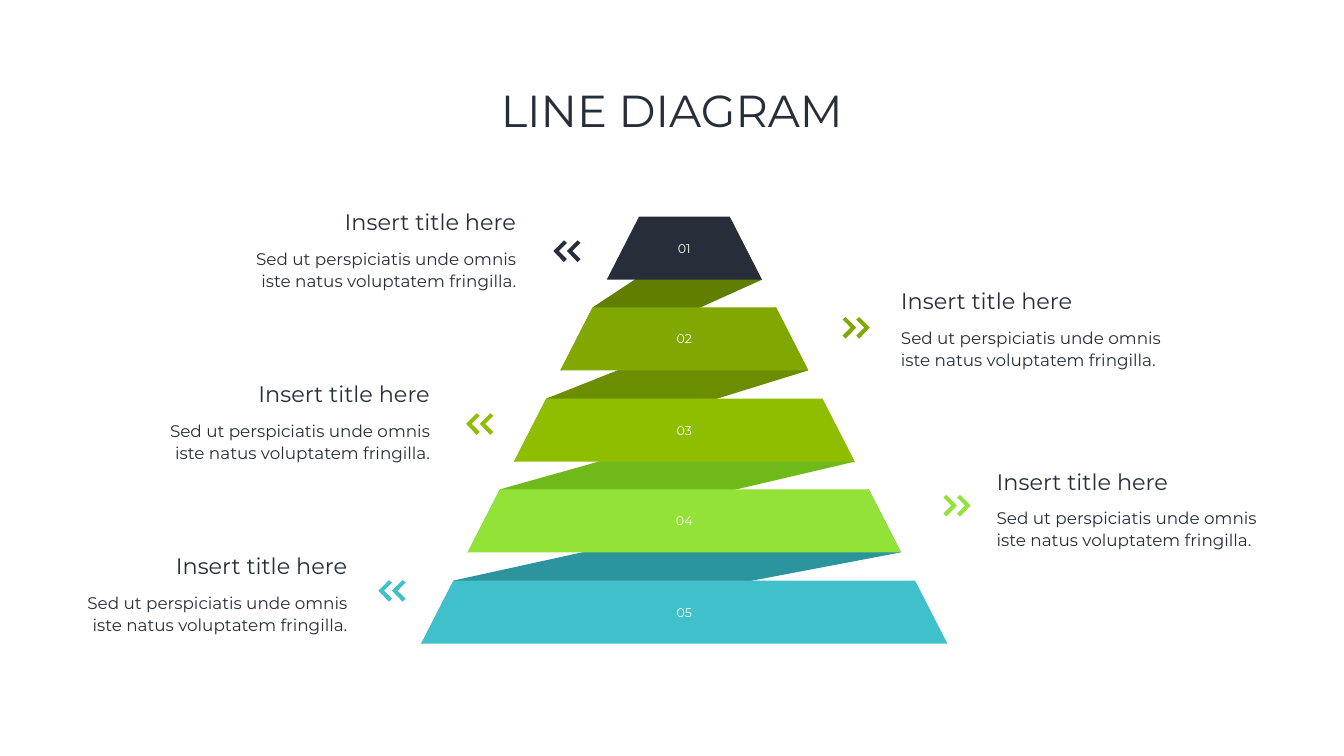
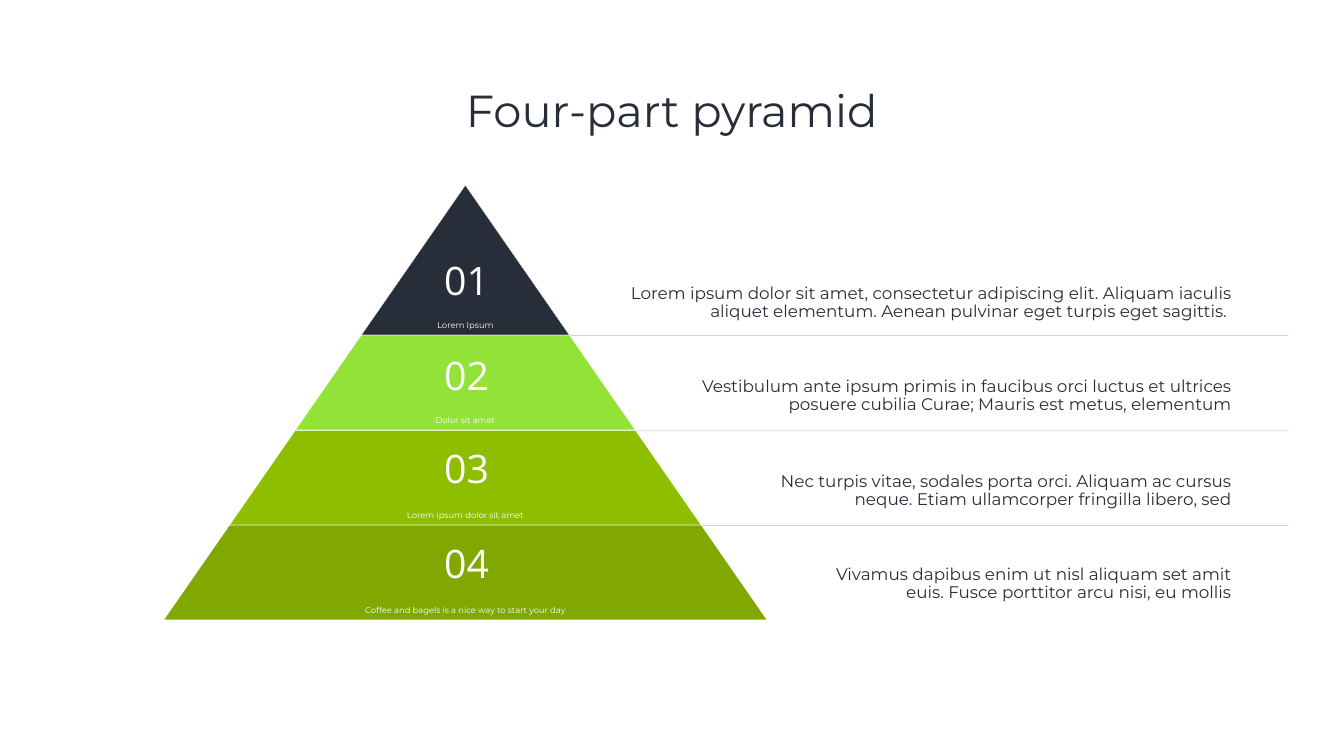
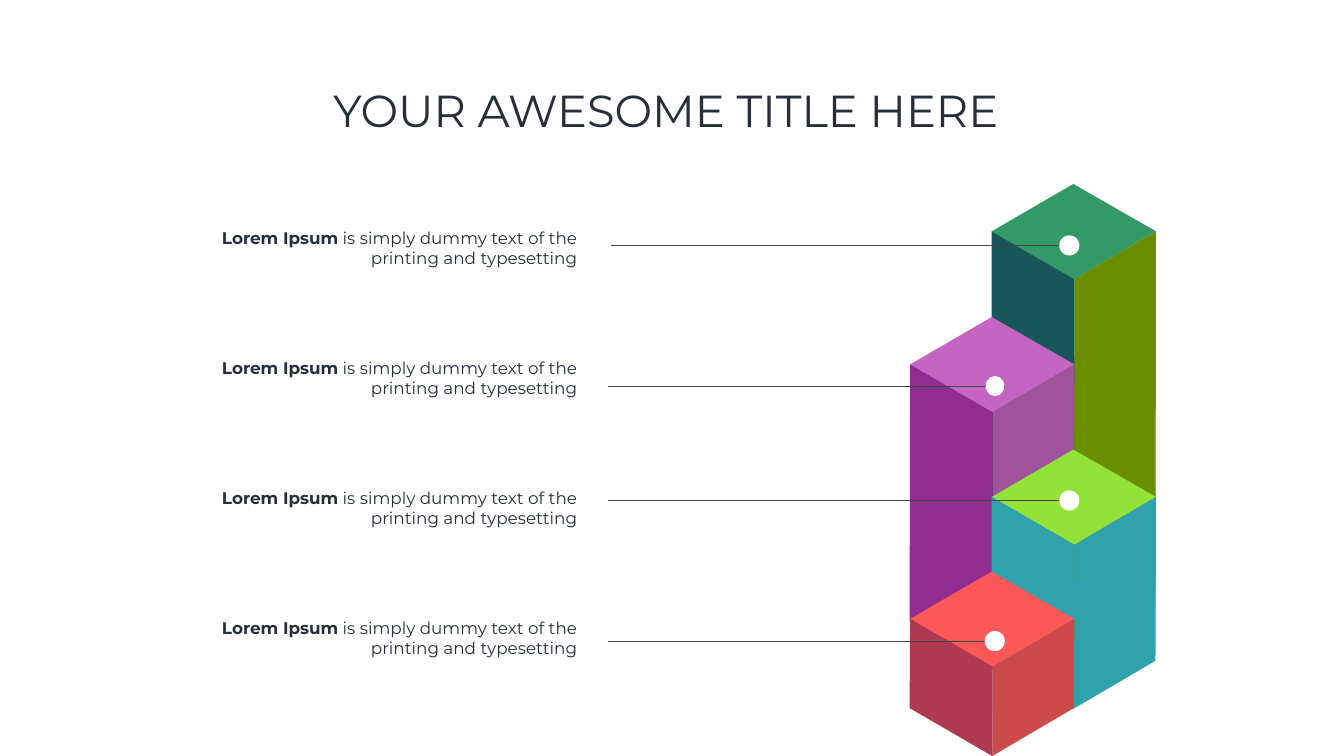
"""Build three infographic slides: a ribbon pyramid, a four-part pyramid and towers."""
from itertools import pairwise

from lxml import etree
from pptx import Presentation
from pptx import util as u
from pptx.dml.color import RGBColor
from pptx.enum import shapes, text
from pptx.oxml.ns import qn

SCALE = 9144
INK, WHITE, RULE, LEADER = "272E3A", "FFFFFF", "808080", "434343"
LIME, LEAF, OLIVE, TEAL = "93E238", "8FBE00", "80A800", "40C0CB"
SANS, NUMERAL = "Montserrat", "Open Sans"
LEFT, CENTER, RIGHT = text.PP_ALIGN.LEFT, text.PP_ALIGN.CENTER, text.PP_ALIGN.RIGHT
TOP, MIDDLE, BOTTOM = text.MSO_ANCHOR.TOP, text.MSO_ANCHOR.MIDDLE, text.MSO_ANCHOR.BOTTOM


def px(length):
    """Turn px into EMU."""
    return u.Emu(round(length * SCALE))


def color(code):
    """Turn a hex string into a colour."""
    return RGBColor.from_string(code)


def write(frame, spans, size, align, ink=INK, font=SANS, spacing=None):
    """Write (words, bold) spans as the single paragraph of a frame."""
    para = frame.paragraphs[0]
    para.alignment = align
    if spacing:
        para.line_spacing = spacing
    for words, bold in spans:
        span = para.add_run()
        span.text = words
        span.font.name = font
        span.font.size = u.Pt(size)
        span.font.bold = bold
        span.font.color.rgb = color(ink)


def set_margins(frame, left, top, right, bottom):
    """Set the four insets of a text frame."""
    frame.margin_left, frame.margin_top = px(left), px(top)
    frame.margin_right, frame.margin_bottom = px(right), px(bottom)


def add_text(canvas, at, words, size, align, anchor=TOP, wrap=True, grow=False,
             margins=(10, 5, 10, 5), **style):
    """Add a text box holding a string or a list of spans."""
    frame = canvas.add_textbox(*map(px, at)).text_frame
    frame.word_wrap = wrap
    frame.vertical_anchor = anchor
    if grow:
        frame.auto_size = text.MSO_AUTO_SIZE.SHAPE_TO_FIT_TEXT
    set_margins(frame, *margins)
    spans = [(words, False)] if isinstance(words, str) else words
    write(frame, spans, size, align, **style)


def paint(shape, fill, outline=None):
    """Give a shape a flat fill and an optional thin outline."""
    shape.shadow.inherit = False
    shape.fill.solid()
    shape.fill.fore_color.rgb = color(fill)
    if outline:
        shape.line.color.rgb = color(outline)
        shape.line.width = u.Pt(0.5)
    else:
        shape.line.fill.background()


def add_outline(canvas, contours, fill):
    """Add a filled freeform made of closed contours."""
    builder = canvas.build_freeform(*contours[0][0], scale=SCALE)
    for number, points in enumerate(contours):
        if number:
            builder.move_to(*points[0])
        builder.add_line_segments(points[1:], close=True)
    shape = builder.convert_to_shape()
    paint(shape, fill)
    return shape


def add_rule(canvas, start, end, y, ink, width, opacity=None):
    """Add a horizontal line without a shadow."""
    line = canvas.add_connector(shapes.MSO_CONNECTOR.STRAIGHT, px(start), px(y), px(end), px(y))
    line.line.color.rgb = color(ink)
    line.line.width = u.Pt(width)
    properties = line._element.spPr
    if opacity:
        tint = properties.find(".//" + qn("a:srgbClr"))
        etree.SubElement(tint, qn("a:alpha")).set("val", str(opacity * 1000))
    etree.SubElement(properties, qn("a:effectLst"))


def add_page(deck, title):
    """Add a blank page with the shared title style."""
    page = deck.slides.add_slide(deck.slide_layouts[6])
    add_text(page.shapes, (183, 80, 2300, 290), title, 64, CENTER, MIDDLE, spacing=0.9)
    return page.shapes


def add_chevrons(canvas, x, y, fill, points_left):
    """Add a double chevron pointing left or right."""
    arrow = [(27, 37), (21, 43), (0, 21), (21, 0), (27, 5), (11, 21)]
    contours = []
    for shift in (0, 27):
        steps = [(dx + shift, dy) for dx, dy in arrow]
        contours.append([(x + (dx if points_left else 54 - dx), y + dy) for dx, dy in steps])
    add_outline(canvas, contours, fill)


def add_note(canvas, x, y, align):
    """Add a heading with two lines of body text below it."""
    heading_x = x + 200 if align == RIGHT else x
    add_text(canvas, (heading_x, y, 363, 64), "Insert title here", 32, align,
             wrap=False, grow=True)
    add_text(canvas, (x, y + 76, 563, 97),
             "Sed ut perspiciatis unde omnis iste natus voluptatem fringilla.",
             24, align, grow=True, spacing=1.1)


def build_ribbon(deck):
    """Build the pyramid of five layers joined by folded ribbons."""
    canvas = add_page(deck, "LINE DIAGRAM")
    middle, layers = 1358, []
    for step in range(5):
        top, half = 430 + step * 361 // 2, 154 + 92 * step
        layers.append([(middle + half - 64, top), (middle - half + 64, top),
                       (middle - half, top + 125), (middle + half, top + 125)])
    folds = list(zip(pairwise(layers), ("607E00", "6B8E00", "6FB91B", "2B949D")))
    for (upper, lower), fill in reversed(folds):
        add_outline(canvas, [[lower[2], upper[3], upper[0], lower[1]]], fill)
    fills = (INK, OLIVE, LEAF, LIME, TEAL)
    for number, (layer, fill) in enumerate(zip(layers, fills), 1):
        frame = add_outline(canvas, [layer], fill).text_frame
        frame.vertical_anchor = MIDDLE
        set_margins(frame, 20, 10, 20, 10)
        write(frame, [(f"{number:02}", False)], 18, CENTER, WHITE)
    notes = (
        (471, 408, 1098, 477, RIGHT), (1778, 565, 1672, 629, LEFT),
        (300, 749, 925, 820, RIGHT), (1968, 923, 1872, 982, LEFT),
        (136, 1091, 751, 1151, RIGHT),
    )
    for (x, y, arrow_x, arrow_y, align), fill in zip(notes, fills):
        add_chevrons(canvas, arrow_x, arrow_y, fill, align == RIGHT)
        add_note(canvas, x, y, align)


def add_tier(canvas, top, height, width, label_share, fill, label):
    """Add one pyramid tier with its small label."""
    middle = 923.5
    tier = canvas.add_shape(shapes.MSO_SHAPE.TRAPEZOID, px(middle - width / 2), px(top),
                            px(width), px(height))
    tier.adjustments[0] = 0.694
    paint(tier, fill, WHITE)
    label_width = width * label_share
    add_text(canvas, (middle - label_width / 2, top, label_width, height), label, 12, CENTER,
             BOTTOM, margins=(2, 2, 2, 10), ink=WHITE, spacing=0.9)


def build_pyramid(deck):
    """Build the four-part pyramid with a description for each tier."""
    canvas = add_page(deck, "Four-part pyramid")
    for y in (666, 855, 1043):
        add_rule(canvas, 1008, 2557, y, RULE, 0.5, opacity=50)
    descriptions = (
        (560, 1269, "Lorem ipsum dolor sit amet, consectetur adipiscing elit. Aliquam iaculis "
                    "aliquet elementum. Aenean pulvinar eget turpis eget sagittis. "),
        (745, 1136, "Vestibulum ante ipsum primis in faucibus orci luctus et ultrices "
                    "posuere cubilia Curae; Mauris est metus, elementum"),
        (933, 964, "Nec turpis vitae, sodales porta orci. Aliquam ac cursus neque. "
                   "Etiam ullamcorper fringilla libero, sed"),
        (1118, 877, "Vivamus dapibus enim ut nisl aliquam set amit euis. "
                    "Fusce porttitor arcu nisi, eu mollis"),
    )
    for y, width, words in descriptions:
        add_text(canvas, (2453 - width, y, width, 83), words, 24, RIGHT, grow=True, spacing=0.9)
    tiers = (
        (368, 297, 413, 1, INK, "Lorem Ipsum"),
        (665, 188, 674, 0.65, LIME, "Dolor sit amet"),
        (854, 188, 936, 0.65, LEAF, "Lorem ipsum dolor sit amet"),
        (1042, 188, 1197, 0.65, OLIVE, "Coffee and bagels is a nice way to start your day"),
    )
    for tier in tiers:
        add_tier(canvas.add_group_shape().shapes, *tier)
    for number, y in enumerate((504, 693, 876, 1065), 1):
        add_text(canvas, (871, y, 110, 104), f"{number:02}", 56, CENTER, wrap=False,
                 grow=True, ink=WHITE, font=NUMERAL)


def add_tower(canvas, x, y, depth, lid, right_wall, left_wall):
    """Add an isometric tower with a lid and two walls."""
    left, front, right = (x, y + 94), (x + 164, y + 189), (x + 326, y + 94)
    foot = (front[0] - 1, front[1] + depth)
    add_outline(canvas, [[(x + 162, y), left, front, right]], lid)
    for corner, fill in ((right, right_wall), (left, left_wall)):
        add_outline(canvas, [[corner, front, foot, (corner[0] - 1, corner[1] + depth)]], fill)


def add_pointer(canvas, start, end, y, dot_x, dot_width):
    """Add a leader line that ends in a white dot."""
    add_rule(canvas, start, end, y, LEADER, 0.75)
    dot = canvas.add_shape(shapes.MSO_SHAPE.OVAL, px(dot_x), px(y - 20), px(dot_width), px(40))
    paint(dot, WHITE)


def build_towers(deck):
    """Build the four towers with pointers and captions."""
    canvas = add_page(deck, "YOUR AWESOME TITLE HERE ")
    towers = (
        (1968, 365, 736, "339966", "6B8E00", "18565A"),
        (1806, 629, 511, "C466C1", "9F539D", "912D91"),
        (1968, 892, 325, LIME, "2FA2AB", "2FA2AB"),
        (1806, 1134, 177, "FB5858", "CC4A4A", "AD3A50"),
    )
    for tower in towers:
        add_tower(canvas.add_group_shape().shapes, *tower)
    pointers = (
        (1212, 2102, 487, 2102, 40), (1206, 1994, 766, 1956, 37),
        (1206, 2102, 993, 2102, 40), (1206, 1994, 1272, 1954, 40),
    )
    caption = [("Lorem Ipsum", True),
               (" is simply dummy text of the printing and typesetting", False)]
    for row, pointer in enumerate(pointers):
        add_pointer(canvas.add_group_shape().shapes, *pointer)
        add_text(canvas, (368, 425 + 258 * row, 804, 205), caption, 24, RIGHT,
                 margins=(27, 27, 27, 27))


def main():
    """Build and save the deck."""
    deck = Presentation()
    deck.slide_width, deck.slide_height = px(2667), px(1500)
    build_ribbon(deck)
    build_pyramid(deck)
    build_towers(deck)
    deck.save("out.pptx")


if __name__ == "__main__":
    main()
